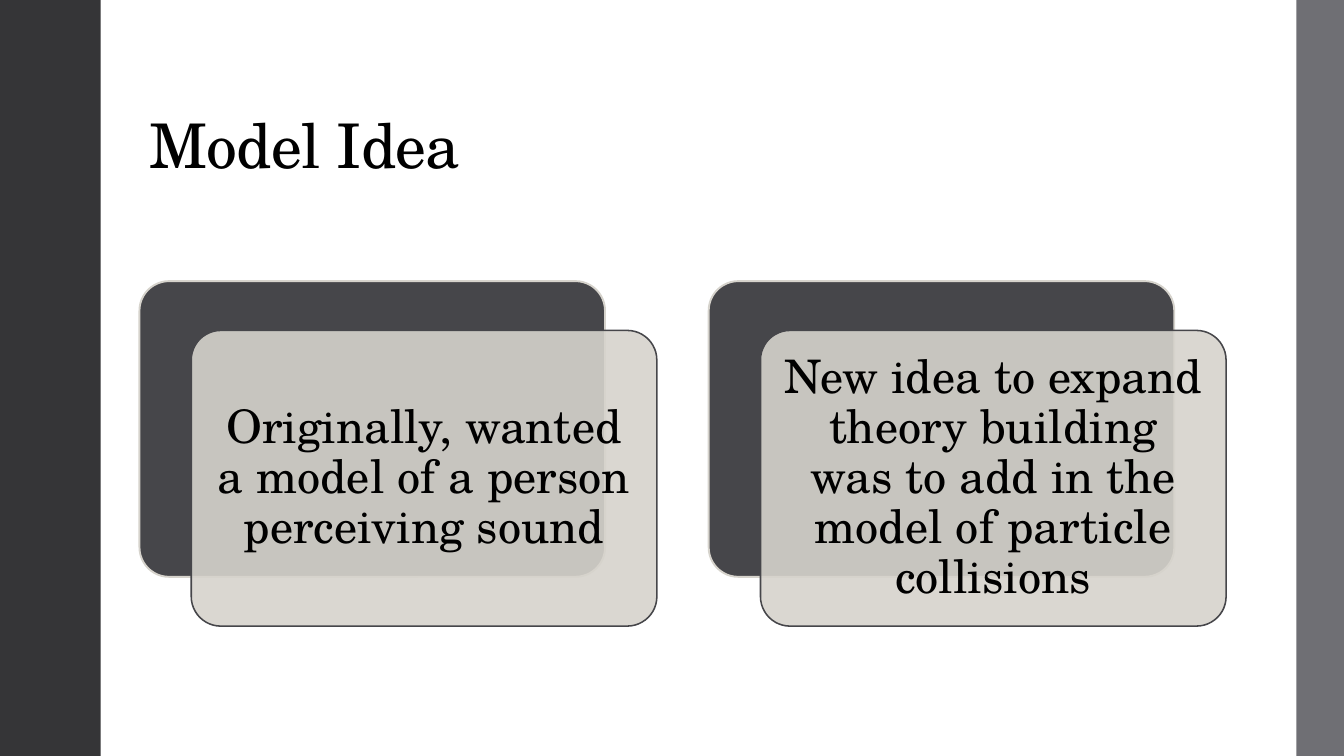
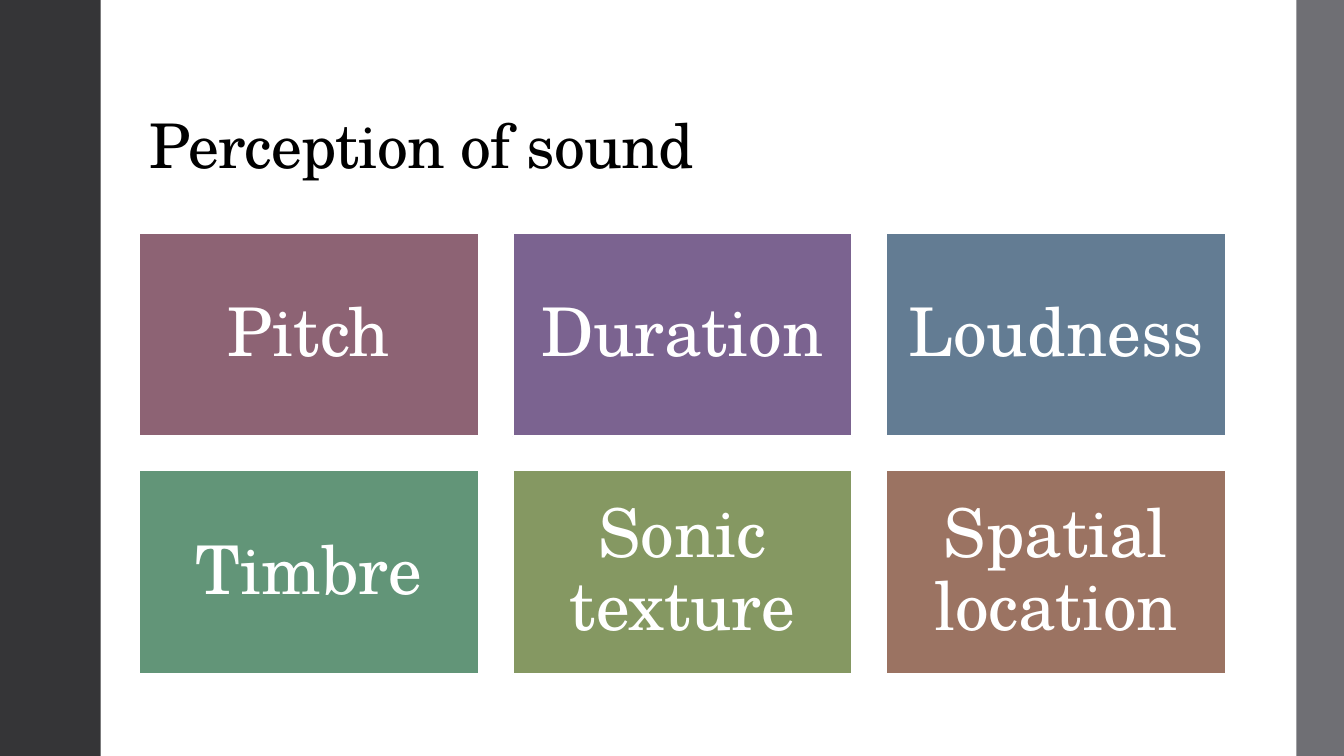
from lxml.etree import SubElement
from pptx import Presentation
from pptx.dml.color import RGBColor
from pptx.enum.shapes import MSO_SHAPE
from pptx.enum.text import MSO_ANCHOR, MSO_AUTO_SIZE, PP_ALIGN
from pptx.oxml.ns import qn
from pptx.util import Pt

FONT = "TeX Gyre Schola"
COLORS = {
    "black": "000000", "white": "FFFFFF",
    "left_band": "353537", "right_band": "6F6F74",
    "card_back": "46464A", "card_front": "D6D3CC",
    "mauve": "8D6374", "violet": "7B6390", "blue": "637C93",
    "green": "629578", "olive": "859862", "brown": "9B7362",
}


def add_block(slide, kind, left, top, width, height, fill, line=None, line_width=1.35):
    block = slide.shapes.add_shape(kind, Pt(left), Pt(top), Pt(width), Pt(height))
    block.shadow.inherit = False
    block.fill.solid()
    block.fill.fore_color.rgb = RGBColor.from_string(COLORS[fill])
    if line:
        block.line.color.rgb = RGBColor.from_string(COLORS[line])
        block.line.width = Pt(line_width)
    else:
        block.line.fill.background()
    if kind == MSO_SHAPE.ROUNDED_RECTANGLE:
        block.adjustments[0] = 0.1
    return block


def write(shape, text, size, color, inset, align=PP_ALIGN.CENTER, anchor=MSO_ANCHOR.MIDDLE):
    frame = shape.text_frame
    frame.text = text
    frame.word_wrap = True
    frame.auto_size = MSO_AUTO_SIZE.NONE
    frame.vertical_anchor = anchor
    frame.margin_left = frame.margin_right = Pt(inset)
    frame.margin_top = frame.margin_bottom = Pt(inset)
    paragraph = frame.paragraphs[0]
    paragraph.alignment = align
    paragraph.line_spacing = 0.9
    paragraph.font.name = FONT
    paragraph.font.size = Pt(size)
    paragraph.font.color.rgb = RGBColor.from_string(COLORS[color])


prs = Presentation()
prs.slide_width, prs.slide_height = Pt(960), Pt(540)
layout = prs.slide_layouts[5]
layout_title = layout.placeholders[0]
layout_title.left, layout_title.top = Pt(99.4), Pt(28.8)
layout_title.width, layout_title.height = Pt(776.2), Pt(104.4)

slides = []
for heading in ("Model Idea", "Perception of sound"):
    slide = prs.slides.add_slide(layout)
    title = slide.shapes.title
    write(title, heading, 44, "black", 3.6, PP_ALIGN.LEFT, MSO_ANCHOR.BOTTOM)
    title.text_frame.margin_left = title.text_frame.margin_right = Pt(7.2)
    title.text_frame.paragraphs[0].runs[0].font._element.set("spc", "-50")
    slides.append(slide)
idea_slide, sound_slide = slides

for left, width, color in ((0, 72, "left_band"), (926, 34, "right_band")):
    band = add_block(idea_slide, MSO_SHAPE.RECTANGLE, left, 0, width, 540, color)
    layout.shapes.element.insert(2, band.element)

ideas = (
    "Originally, wanted a model of a person perceiving sound",
    "New idea to expand theory building was to add in the model of particle collisions",
)
card_width, card_height = 332.6, 211.2
for column, idea in enumerate(ideas):
    left, top = 99.6 + column * 406.6, 200.8
    add_block(idea_slide, MSO_SHAPE.ROUNDED_RECTANGLE, left, top,
              card_width, card_height, "card_back", "card_front")
    front = add_block(idea_slide, MSO_SHAPE.ROUNDED_RECTANGLE, left + 37, top + 35.2,
                      card_width, card_height, "card_front", "card_back", 1.1)
    tint = front.element.spPr.find(qn("a:solidFill")).find(qn("a:srgbClr"))
    SubElement(tint, qn("a:alpha")).set("val", "90000")
    write(front, idea, 33, "black", 10)

qualities = (
    ("Pitch", "mauve"), ("Duration", "violet"), ("Loudness", "blue"),
    ("Timbre", "green"), ("Sonic texture", "olive"), ("Spatial location", "brown"),
)
tile_width, tile_height, gap = 242.6, 145.6, 24.2
for index, (quality, color) in enumerate(qualities):
    row, column = divmod(index, 3)
    tile = add_block(sound_slide, MSO_SHAPE.RECTANGLE,
                     99.4 + column * (tile_width + gap), 166.2 + row * (tile_height + gap),
                     tile_width, tile_height, color, "white")
    write(tile, quality, 48, "white", 14.4)

prs.save("out.pptx")
